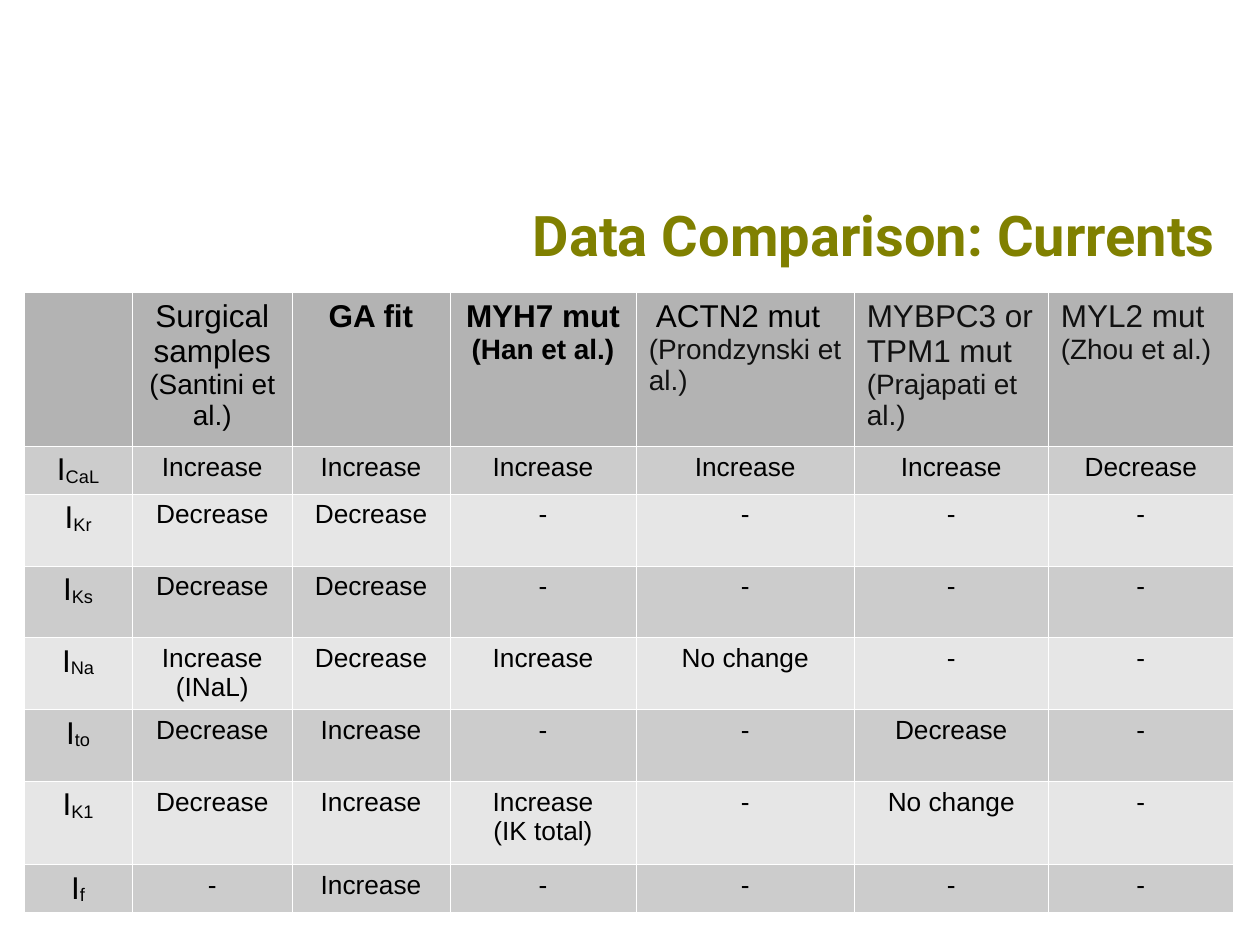
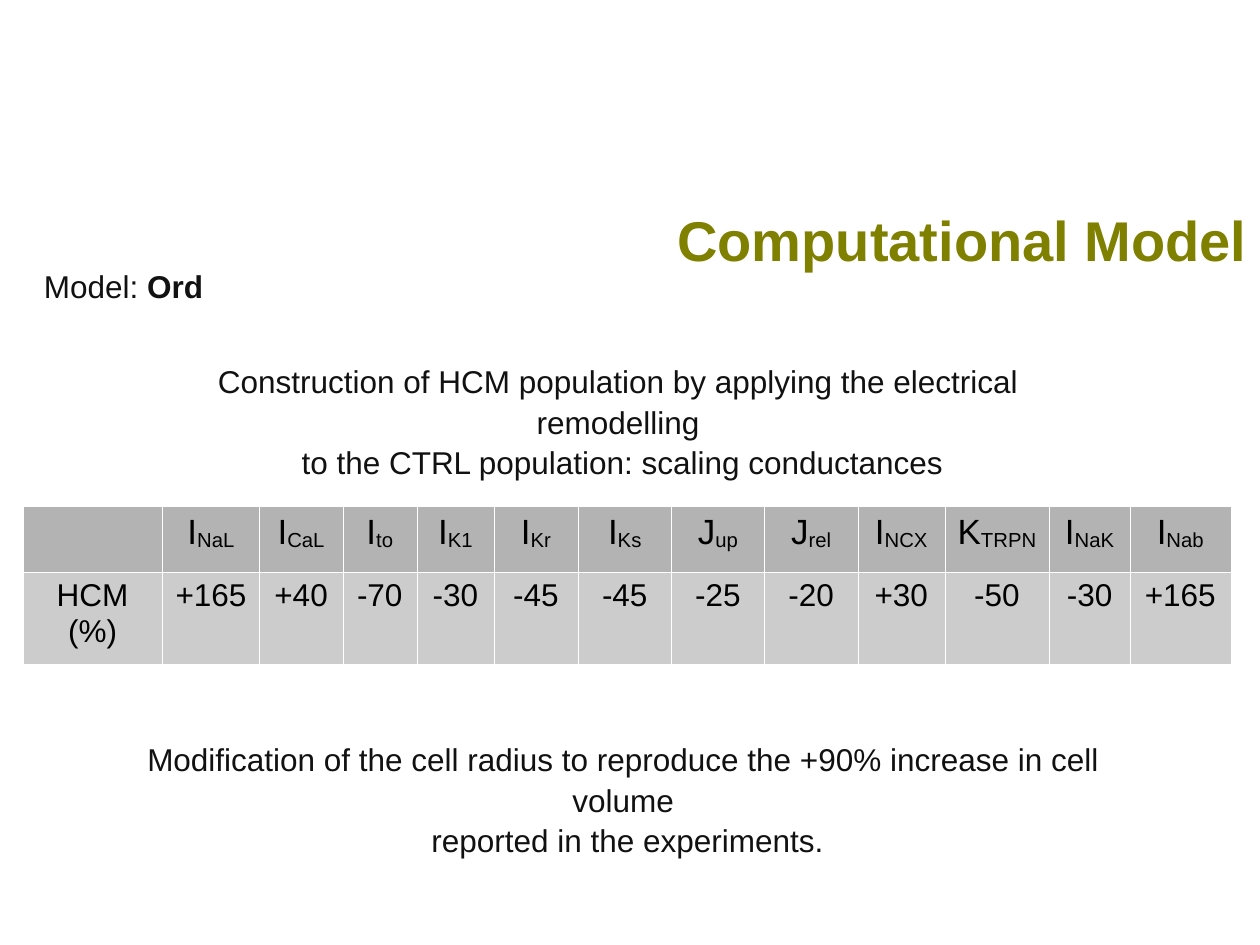
"""Builds two slides on ionic current remodelling in HCM."""
import pptx
import pptx.dml.color
import pptx.enum.text
import pptx.util
from lxml import etree
from pptx.oxml.ns import qn

Inches = pptx.util.Inches
Pt = pptx.util.Pt
ALIGN = pptx.enum.text.PP_ALIGN
ANCHOR = pptx.enum.text.MSO_ANCHOR

COLOURS = {
    "title": "808000",
    "ink": "000000",
    "soft_ink": "111111",
    "header": "B3B3B3",
    "odd_row": "CCCCCC",
    "even_row": "E6E6E6",
    "border": "FFFFFF",
}
TITLE_LAYOUT = 5

STUDIES = [
    ("Surgical samples", "(Santini et al.)"),
    ("GA fit",),
    ("MYH7 mut", "(Han et al.)"),
    (" ACTN2 mut", "(Prondzynski et al.)"),
    ("MYBPC3 or TPM1 mut", "(Prajapati et al.)"),
    ("MYL2 mut", "(Zhou et al.)"),
]
FITTED_STUDIES = ("GA fit", "MYH7 mut")
FIRST_LEFT_STUDY = 4

CURRENTS = [
    ("I_CaL", "Increase", "Increase", "Increase", "Increase", "Increase", "Decrease"),
    ("I_Kr", "Decrease", "Decrease", "-", "-", "-", "-"),
    ("I_Ks", "Decrease", "Decrease", "-", "-", "-", "-"),
    ("I_Na", "Increase\n(INaL)", "Decrease", "Increase", "No change", "-", "-"),
    ("I_to", "Decrease", "Increase", "-", "-", "Decrease", "-"),
    ("I_K1", "Decrease", "Increase", "Increase\n(IK total)", "-", "No change", "-"),
    ("I_f", "-", "Increase", "-", "-", "-", "-"),
]
CURRENT_WIDTHS = [0.86, 1.27, 1.25, 1.48, 1.73, 1.54, 1.47]
CURRENT_HEIGHTS = [1.22, 0.38, 0.57, 0.57, 0.57, 0.57, 0.66, 0.38]

SCALINGS = [
    ("I_NaL", "+165"), ("I_CaL", "+40"), ("I_to", "-70"), ("I_K1", "-30"),
    ("I_Kr", "-45"), ("I_Ks", "-45"), ("J_up", "-25"), ("J_rel", "-20"),
    ("I_NCX", "+30"), ("K_TRPN", "-50"), ("I_NaK", "-30"), ("I_Nab", "+165"),
]
SCALING_WIDTHS = [1.11, 0.77, 0.66, 0.59, 0.61, 0.67, 0.74, 0.74, 0.74, 0.69,
                  0.83, 0.64, 0.8]
SCALING_HEIGHTS = [0.52, 0.73]


def rgb(name):
    """Return a palette colour."""
    return pptx.dml.color.RGBColor.from_string(COLOURS[name])


def format_run(run, size, colour="ink", bold=False, font="Arial"):
    """Give a run its font, size, weight and colour."""
    run.font.name = font
    run.font.size = Pt(size)
    run.font.bold = bold
    run.font.color.rgb = rgb(colour)


def add_title(slide, text, left, top, width, font):
    """Place and format the slide title."""
    title = slide.shapes.title
    title.left, title.top = Inches(left), Inches(top)
    title.width, title.height = Inches(width), Inches(0.71)
    frame = title.text_frame
    frame.text = text
    frame.word_wrap = True
    frame.auto_size = pptx.enum.text.MSO_AUTO_SIZE.NONE
    frame.vertical_anchor = ANCHOR.MIDDLE
    frame.paragraphs[0].alignment = ALIGN.RIGHT
    format_run(frame.paragraphs[0].runs[0], 32, "title", True, font)


def add_note(slide, lines, left, top, width, align=ALIGN.CENTER):
    """Add a text box with one paragraph per line."""
    note = slide.shapes.add_textbox(
        Inches(left), Inches(top), Inches(width), Inches(0.7))
    frame = note.text_frame
    frame.word_wrap = True
    frame.text = "\n".join(lines)
    for paragraph in frame.paragraphs:
        paragraph.alignment = align
        paragraph.line_spacing = 1.08
        format_run(paragraph.runs[0], 18, "soft_ink")
    return frame


def style_cell(cell, fill):
    """Give a cell hairline borders and a fill."""
    properties = cell._tc.get_or_add_tcPr()
    for side in ("lnL", "lnR", "lnT", "lnB"):
        border = etree.SubElement(properties, qn(f"a:{side}"), w=str(Pt(0.06)))
        paint = etree.SubElement(border, qn("a:solidFill"))
        etree.SubElement(paint, qn("a:srgbClr"), val=COLOURS["border"])
    cell.fill.solid()
    cell.fill.fore_color.rgb = rgb(fill)


def add_grid(slide, left, top, widths, heights):
    """Add a table with a header row and alternating row fills."""
    grid = slide.shapes.add_table(
        len(heights), len(widths), Inches(left), Inches(top),
        Inches(sum(widths)), Inches(sum(heights))).table
    grid.first_row = grid.horz_banding = False
    for column, width in zip(grid.columns, widths):
        column.width = Inches(width)
    for index, (row, height) in enumerate(zip(grid.rows, heights)):
        row.height = Inches(height)
        fill = "odd_row" if index % 2 else "even_row"
        for cell in row.cells:
            style_cell(cell, fill if index else "header")
    return grid


def write_value(cell, text, size):
    """Write centred text; the part after an underscore is a subscript."""
    base, _, subscript = text.partition("_")
    cell.text_frame.text = base
    for paragraph in cell.text_frame.paragraphs:
        paragraph.alignment = ALIGN.CENTER
        format_run(paragraph.runs[0], size)
    if subscript:
        index = cell.text_frame.paragraphs[0].add_run()
        index.text = subscript
        format_run(index, size)
        index.font._element.set("baseline", "-8000")


def write_study(cell, study, column):
    """Write a study heading with its smaller citation."""
    cell.text_frame.text = "\n".join(study)
    on_left = column >= FIRST_LEFT_STUDY
    for line, paragraph in enumerate(cell.text_frame.paragraphs):
        paragraph.alignment = ALIGN.LEFT if on_left else ALIGN.CENTER
        soft = on_left and (line or column > FIRST_LEFT_STUDY)
        format_run(paragraph.runs[0], 16 if line else 18,
                   "soft_ink" if soft else "ink", study[0] in FITTED_STUDIES)


def build_currents(slide):
    """Compare the currents reported by each study."""
    add_title(slide, "Data Comparison: Currents", 2.5, 1.5, 7.25, "Roboto")
    grid = add_grid(slide, 0.19, 2.32, CURRENT_WIDTHS, CURRENT_HEIGHTS)
    for column, study in enumerate(STUDIES, 1):
        write_study(grid.cell(0, column), study, column)
    for row, changes in enumerate(CURRENTS, 1):
        for column, change in enumerate(changes):
            write_value(grid.cell(row, column), change, 15 if column else 18)


def build_model(slide):
    """Show how the model conductances are scaled."""
    add_title(slide, "Computational Model", 1.75, 1.54, 8.25, "Arial")
    grid = add_grid(slide, 0.18, 4.02, SCALING_WIDTHS, SCALING_HEIGHTS)
    write_value(grid.cell(1, 0), "HCM\n(%)", 18)
    for column, (conductance, scaling) in enumerate(SCALINGS, 1):
        write_value(grid.cell(0, column), conductance, 20)
        write_value(grid.cell(1, column), scaling, 18)
    model = add_note(slide, ["Model: "], 0.25, 2.05, 1.68, ALIGN.LEFT)
    model_name = model.paragraphs[0].add_run()
    model_name.text = "Ord"
    format_run(model_name, 18, "soft_ink", True)
    add_note(slide, [
        "Modification of the cell radius to reproduce the +90% increase in cell volume",
        " reported in the experiments."], 0.65, 5.8, 8.59)
    add_note(slide, [
        "Construction of HCM population by applying the electrical remodelling",
        " to the CTRL population: scaling conductances"], 0.97, 2.8, 7.87)


def main():
    """Build and save the presentation."""
    deck = pptx.Presentation()
    deck.slide_width, deck.slide_height = Inches(10), Inches(7.5)
    for build in (build_currents, build_model):
        build(deck.slides.add_slide(deck.slide_layouts[TITLE_LAYOUT]))
    deck.save("out.pptx")


main()
